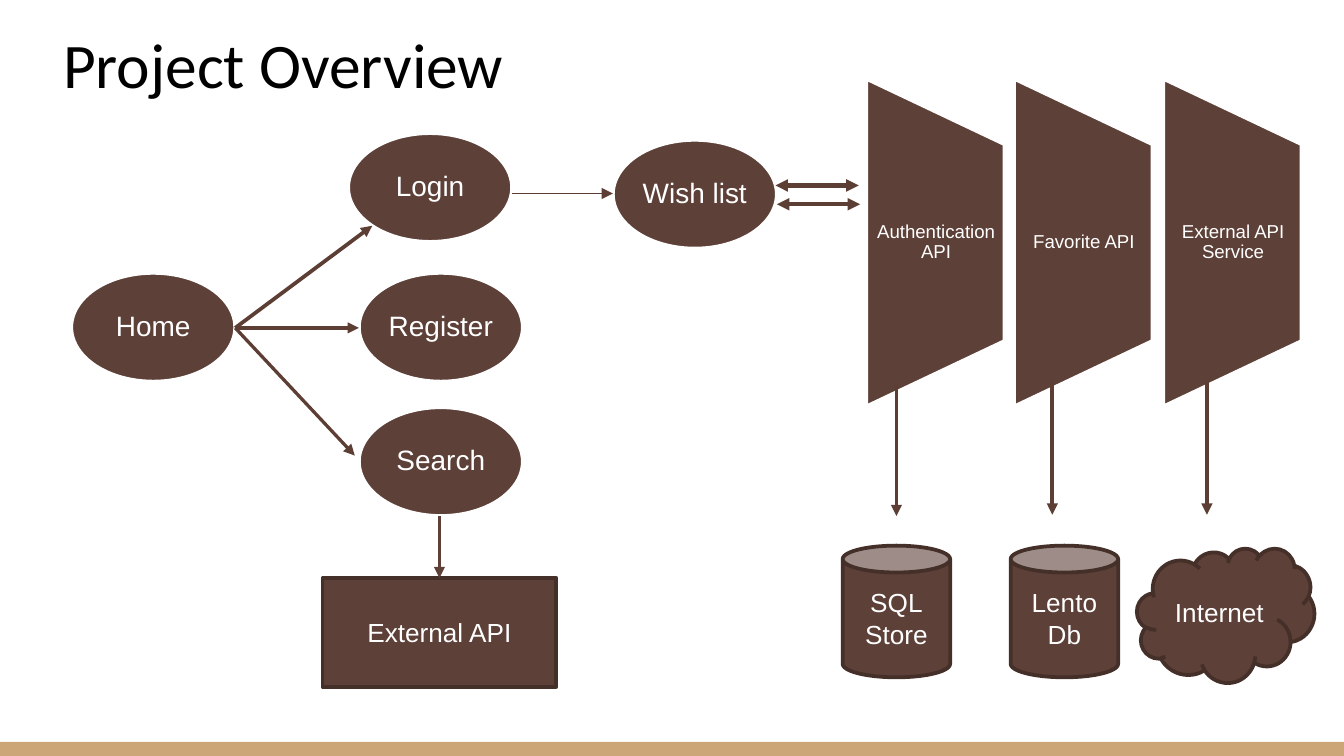
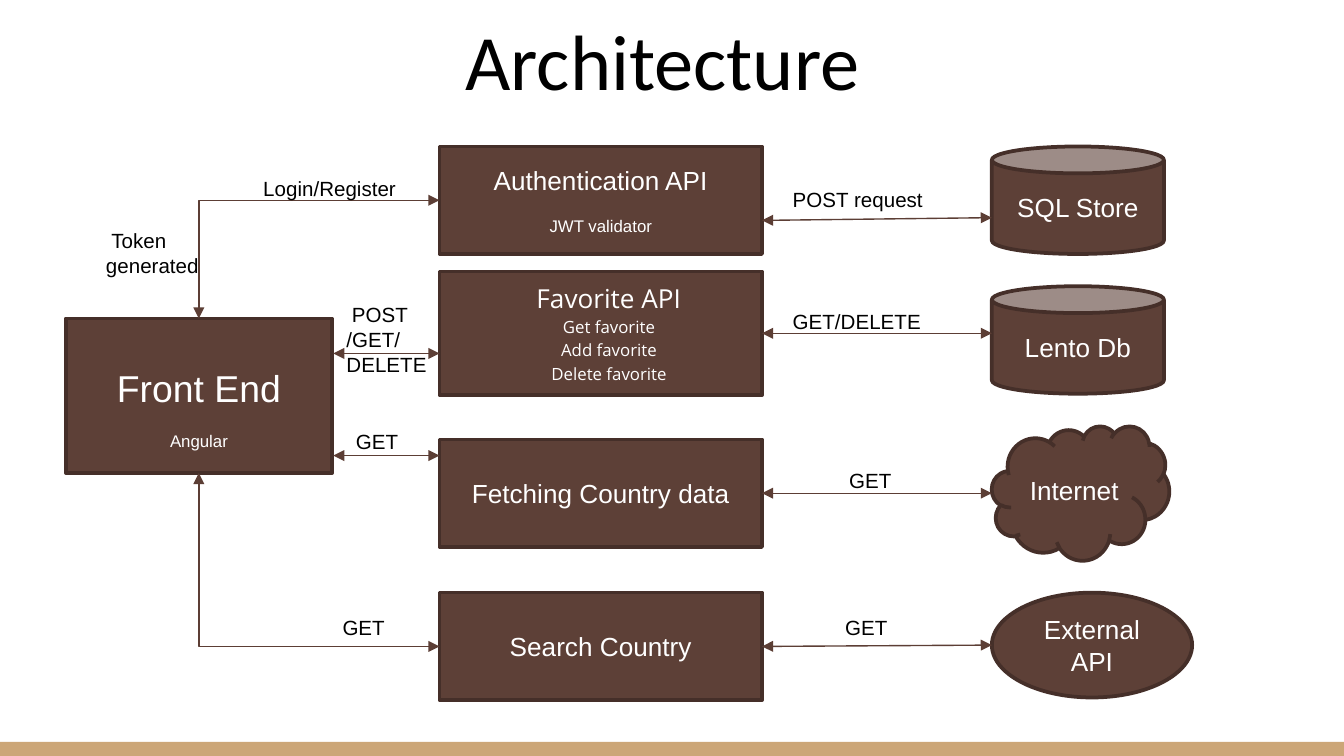
"""Build the project overview and architecture slides."""
from lxml.etree import SubElement
from pptx import Presentation
from pptx.dml.color import RGBColor
from pptx.enum.shapes import MSO_CONNECTOR as CONN, MSO_SHAPE as SHAPE
from pptx.enum.text import MSO_ANCHOR as ANCHOR, MSO_AUTO_SIZE as FIT, PP_ALIGN as ALIGN
from pptx.oxml.ns import qn
from pptx.util import Pt

PX = 9144
BROWN = RGBColor(0x5D, 0x40, 0x37)
EDGE = RGBColor(0x45, 0x2F, 0x29)
LINK = RGBColor(0x5C, 0x3E, 0x35)
SAND = RGBColor(0xCC, 0xA6, 0x77)
WHITE = RGBColor(0xFF, 0xFF, 0xFF)
BLACK = RGBColor(0, 0, 0)


def draw(s, kind, box, lines, size=14, edge=EDGE, color=WHITE, align=ALIGN.CENTER,
         anchor=ANCHOR.MIDDLE, inset=(10, 5), spacing=None, font="Arial", indent=0):
    """Add a filled shape, or a plain text box when kind is None."""
    box = [v * PX for v in box]
    if kind is None:
        sp = s.shapes.add_textbox(*box)
    else:
        sp = s.shapes.add_shape(kind, *box)
        sp.shadow.inherit = False
        sp.fill.solid()
        sp.fill.fore_color.rgb = BROWN
        sp.line.color.rgb = edge
        sp.line.width = Pt(2)
    tf = sp.text_frame
    tf.word_wrap = True
    tf.vertical_anchor = anchor
    tf.margin_left = tf.margin_right = inset[0] * PX
    tf.margin_top = tf.margin_bottom = inset[1] * PX
    for i, line in enumerate(lines):
        text, pt = line if isinstance(line, tuple) else (line, size)
        p = tf.add_paragraph() if i else tf.paragraphs[0]
        p.alignment = align
        p.line_spacing = spacing
        if indent and i == 0:
            p._p.get_or_add_pPr().set("indent", str(indent * PX))
        for j, part in enumerate(text.split("\n")):
            if j:
                p.add_line_break()
            r = p.add_run()
            r.text = part
            r.font.size = Pt(pt)
            r.font.name = font
            r.font.color.rgb = color
    return sp


def link(s, x1, y1, x2, y2, width=0.75, both=True, color=LINK, bent=False):
    """Add an arrow, straight or with one corner."""
    kind = CONN.ELBOW if bent else CONN.STRAIGHT
    c = s.shapes.add_connector(kind, x1 * PX, y1 * PX, x2 * PX, y2 * PX)
    c.line.color.rgb = color
    c.line.width = Pt(width)
    spPr = c._element.spPr
    if bent:
        spPr.find(qn("a:prstGeom")).set("prst", "bentConnector2")
    ln = spPr.find(qn("a:ln"))
    for end in ("a:headEnd", "a:tailEnd") if both else ("a:tailEnd",):
        SubElement(ln, qn(end), type="triangle")
    SubElement(spPr, qn("a:effectLst"))


prs = Presentation()
prs.slide_width = 1000 * PX
prs.slide_height = prs.slide_width * 9 // 16

slides = []
for text, size, box, align, anchor, pad in (
    ("Project Overview", 34, (37, 14, 963, 67), ALIGN.LEFT, ANCHOR.TOP, 5),
    ("Architecture", 42, (27, -2, 932, 91), ALIGN.CENTER, ANCHOR.BOTTOM, 10),
):
    s = prs.slides.add_slide(prs.slide_layouts[5])
    band = s.shapes.add_shape(SHAPE.RECTANGLE, 0, 552 * PX, 1000 * PX, 11 * PX)
    band.shadow.inherit = False
    band.fill.solid()
    band.fill.fore_color.rgb = SAND
    band.line.fill.background()
    sp = s.shapes.title
    sp.left, sp.top, sp.width, sp.height = [v * PX for v in box]
    tf = sp.text_frame
    tf.word_wrap = True
    tf.auto_size = FIT.NONE
    tf.vertical_anchor = anchor
    tf.margin_left = tf.margin_right = 10 * PX
    tf.margin_top = tf.margin_bottom = pad * PX
    p = tf.paragraphs[0]
    p.alignment = align
    r = p.add_run()
    r.text = text
    r.font.size = Pt(size)
    r.font.name = "Calibri"
    r.font.color.rgb = BLACK
    slides.append(s)

overview, arch = slides

for x, y, name in ((53, 203, "Home"), (259, 99, "Login"), (267, 203, "Register"),
                   (267, 303, "Search"), (456, 104, "Wish list")):
    draw(overview, SHAPE.OVAL, (x, y, 122, 81), [name], size=15, edge=WHITE,
         inset=(1, 1), spacing=0.9)

for x2, y2, width in ((277, 168, 2), (267, 244, 1.75), (264, 339, 1.75)):
    link(overview, 175, 244, x2, y2, width, both=False)
link(overview, 381, 144, 456, 144, both=False)

for x, name in ((574, "Authentication API"), (684, "Favorite API"),
                (795, "External API Service")):
    sp = draw(overview, SHAPE.FLOWCHART_MANUAL_OPERATION, (x, 129, 244, 103), [], edge=WHITE)
    sp.rotation = 270
    draw(overview, None, (x + 71, 107, 103, 147), [name], size=10,
         inset=(7, 0), spacing=0.9)

for x, y in ((577, 138), (578, 152)):
    link(overview, x, y, x + 62, y, 2.25)
for x, y in ((667, 285), (783, 284), (898, 284)):
    link(overview, x, y, x, y + 99, 2, both=False)

for x, lines in ((627, ["SQL", "Store"]), (752, ["Lento", "Db"])):
    draw(overview, SHAPE.CAN, (x, 406, 80, 98), lines)
draw(overview, SHAPE.RECTANGLE, (240, 430, 174, 81), ["External API"])
link(overview, 327, 384, 327, 430, 1.75, both=False, color=BROWN)
draw(overview, SHAPE.CLOUD, (846, 408, 132, 100), ["Internet"])

front = draw(arch, SHAPE.RECTANGLE, (49, 237, 198, 115), [("Front End", 20), ("Angular", 9)])
front.text_frame.margin_top = 23 * PX
auth = draw(arch, SHAPE.RECTANGLE, (327, 109, 240, 80),
            ["Authentication API", ("JWT validator", 9)])
for sp in (front, auth):
    sp.text_frame.paragraphs[0].space_after = Pt(11)

favorite = draw(arch, SHAPE.RECTANGLE, (327, 202, 240, 92),
                ["Favorite API", ("Get favorite", 9), ("Add favorite", 9), ("Delete favorite", 9)],
                spacing=1.15, font="Open Sans", inset=(10, 0))
favorite.text_frame.margin_left = 22 * PX
favorite.text_frame.margin_bottom = 4 * PX

for y, name in ((327, "Fetching Country data"), (441, "Search Country")):
    draw(arch, SHAPE.RECTANGLE, (327, y, 240, 80), [name])
for kind, y, w, h, name in (
    (SHAPE.CAN, 109, 128, 80, "SQL Store"),
    (SHAPE.CAN, 213, 128, 80, "Lento Db"),
    (SHAPE.CLOUD, 317, 132, 100, "Internet"),
    (SHAPE.OVAL, 441, 149, 78, "External API"),
):
    draw(arch, kind, (738, y, w, h), [name])

for y1, y2 in ((164, 162), (248, 248), (367, 367), (481, 480)):
    link(arch, 567, y1, 738, y2)
for y in (263, 339):
    link(arch, 248, y, 327, y)
for y1, y2 in ((149, 237), (481, 352)):
    link(arch, 327, y1, 148, y2, bent=True)

for x, y, w, h, lines in (
    (576, 134, 128, 29, ["POST request"]),
    (576, 225, 121, 29, ["GET/DELETE"]),
    (618, 343, 56, 29, ["GET"]),
    (615, 453, 56, 29, ["GET"]),
    (182, 126, 128, 29, ["Login/Register"]),
    (69, 165, 128, 47, ["Token generated"]),
    (248, 220, 90, 66, ["POST\n/GET/", "DELETE"]),
    (251, 314, 128, 29, ["GET"]),
    (241, 453, 128, 29, ["GET"]),
):
    draw(arch, None, (x, y, w, h), lines, size=11, color=BLACK, align=ALIGN.LEFT,
         anchor=ANCHOR.TOP, indent=4)

prs.save("out.pptx")
